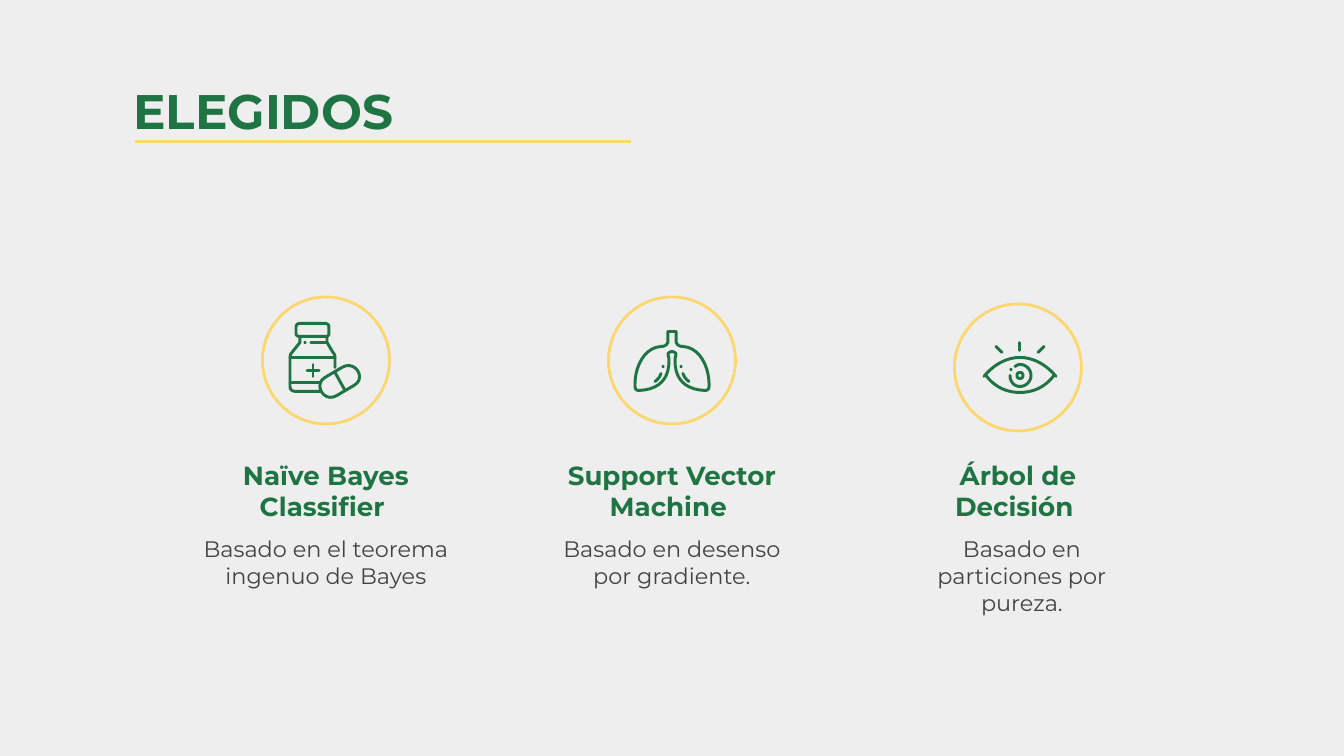
import pptx
import pptx.dml.color
import pptx.enum.shapes
import pptx.enum.text
import pptx.oxml.ns
import pptx.util
from lxml import etree

PX = 914400 / 134.4
GREEN, GOLD, GREY, PALE = "1F7444", "FBD76D", "434343", "EEEEEE"
LEFT = pptx.enum.text.PP_ALIGN.LEFT
MID = pptx.enum.text.PP_ALIGN.CENTER
OVAL = pptx.enum.shapes.MSO_SHAPE.OVAL
qn = pptx.oxml.ns.qn


def px(*vals):
    return [round(v * PX) for v in vals]


def color(code):
    return pptx.dml.color.RGBColor.from_string(code)


def outline(shape, code, width=1.5):
    shape.line.color.rgb = color(code)
    shape.line.width = pptx.util.Pt(width)


def text(slide, box, words, size, code, bold=False, align=MID):
    frame = slide.shapes.add_textbox(*px(*box)).text_frame
    frame.word_wrap = True
    frame.margin_left = frame.margin_right = pptx.util.Inches(0.1)
    frame.margin_top = frame.margin_bottom = pptx.util.Inches(0.1)
    para = frame.paragraphs[0]
    para.text = words
    para.alignment = align
    para.font.name = "Montserrat"
    para.font.size = pptx.util.Pt(size)
    para.font.bold = bold
    para.font.color.rgb = color(code)


def rule(slide, left, right, y):
    line = slide.shapes.add_connector(
        pptx.enum.shapes.MSO_CONNECTOR.STRAIGHT, *px(left, y, right, y))
    outline(line, GOLD)
    etree.SubElement(line._element.spPr, qn("a:effectLst"))


def ring(slide, mid, top, size=127):
    shape = slide.shapes.add_shape(OVAL, *px(mid - size / 2, top, size, size))
    shape.shadow.inherit = False
    shape.fill.background()
    outline(shape, GOLD)


def dot(slide, x, y, size=3):
    shape = slide.shapes.add_shape(
        OVAL, *px(x - size / 2, y - size / 2, size, size))
    shape.shadow.inherit = False
    shape.fill.solid()
    shape.fill.fore_color.rgb = color(GREEN)
    shape.line.fill.background()


def trace(path, steps=10):
    """Turn a path of points and cubic curves (six numbers) into points."""
    spots = [path[0]]
    for part in path[1:]:
        if len(part) == 2:
            spots.append(part)
            continue
        nodes = [spots[-1], part[:2], part[2:4], part[4:]]
        for step in range(1, steps + 1):
            t = step / steps
            u = 1 - t
            mix = (u ** 3, 3 * u * u * t, 3 * u * t * t, t ** 3)
            spots.append(tuple(sum(m * n[axis] for m, n in zip(mix, nodes))
                               for axis in (0, 1)))
    return spots


def flip(path, axis):
    """Give the path and its mirror image about a vertical axis."""
    return [path, [tuple(v if i % 2 else 2 * axis - v
                         for i, v in enumerate(part)) for part in path]]


def stroke(slide, paths):
    pen = None
    for path in paths:
        start, *rest = [px(x, y + 0.5) for x, y in trace(path)]
        if pen is None:
            pen = slide.shapes.build_freeform(*start, scale=1.0)
        else:
            pen.move_to(*start)
        pen.add_line_segments(rest, close=path[0] == path[-1][-2:])
    shape = pen.convert_to_shape()
    shape.shadow.inherit = False
    shape.fill.background()
    outline(shape, GREEN, 1.6)
    line = shape._element.spPr.find(qn("a:ln"))
    line.set("cap", "rnd")
    etree.SubElement(line, qn("a:round"))


BOTTLE = [
    [(300, 323), (325, 323), (328, 323, 329, 325, 329, 327), (329, 332),
     (329, 335, 328, 336, 325, 336), (300, 336),
     (297, 336, 296, 335, 296, 332), (296, 327),
     (296, 325, 297, 323, 300, 323)],
    [(300, 337), (300, 342), (292, 352), (290, 354, 290, 356, 290, 358),
     (290, 386), (290, 389, 292, 391, 296, 391), (320, 391)],
    [(327, 337), (327, 342), (333, 352), (335, 354, 335, 356, 335, 358),
     (335, 367)],
    [(290, 357), (335, 357)],
    [(290, 382), (320, 382)],
    [(311, 342), (327, 342)],
    [(337, 395), (354, 385), (367, 378, 355, 359, 342, 367), (325, 377),
     (313, 384, 324, 403, 337, 395)],
    [(335, 372), (345, 390)],
]
PLUS = [[(313, 364), (313, 376)], [(307, 370), (319, 370)]]
LUNGS = flip(
    [(672, 331), (676, 331), (676, 340), (676, 344, 679, 346, 683, 346),
     (700, 347, 709, 367, 709, 383), (709, 386),
     (709, 389, 707, 390, 705, 390), (685, 389, 675, 379, 675, 360),
     (675, 357, 676, 355, 676, 353), (675, 352, 673, 351, 672, 351)], 672)
AIRWAYS = flip([(683, 373), (684, 376, 686, 379, 689, 381)], 672)
LIDS = (flip([(984, 376), (992, 366, 1005, 357, 1020, 357)], 1020)
        + flip([(986, 375), (995, 387, 1007, 392, 1020, 392)], 1020))
PUPIL = flip([(1020, 372), (1022, 372, 1023, 373, 1023, 375),
              (1023, 377, 1022, 378, 1020, 378)], 1020)
IRIS = [[(1010, 375), (1010, 381, 1014, 386, 1020, 386),
         (1026, 386, 1031, 381, 1031, 375),
         (1031, 369, 1026, 364, 1020, 364),
         (1018, 364, 1017, 365, 1015, 366)]]
RAYS = [[(1020, 342), (1020, 350)]] + flip([(1038, 352), (1044, 346)], 1020)

# name, note, strokes, dots, ring top, name width, note shift
CARDS = [
    ("Naïve Bayes Classifier ", "Basado en el teorema ingenuo de Bayes",
     [PLUS, BOTTLE], [(305, 342)], 297, 274, 0),
    ("Support Vector Machine ", "Basado en desenso por gradiente.",
     [LUNGS] + [[way] for way in AIRWAYS], [(663, 366), (681, 366)],
     297, 274, 0),
    ("Árbol de Decisión ", "Basado en particiones por pureza.",
     [PUPIL, IRIS] + [[ray] for ray in RAYS] + [LIDS], [(1011, 369)],
     304, 262, 4),
]


def card(slide, mid, name, note, strokes, dots, top, width, shift):
    ring(slide, mid, top)
    text(slide, (mid - width / 2, 446, width, 85), name, 14, GREEN, True)
    text(slide, (mid + shift - 137, 522, 274, 117), note, 12, GREY)
    for x, y in dots:
        dot(slide, x, y + 0.5)
    for paths in strokes:
        stroke(slide, paths)


def main():
    deck = pptx.Presentation()
    deck.slide_width, deck.slide_height = px(1344, 756)
    slide = deck.slides.add_slide(deck.slide_layouts[6])
    slide.background.fill.solid()
    slide.background.fill.fore_color.rgb = color(PALE)
    text(slide, (120, 68, 1103, 85), "ELEGIDOS", 26, GREEN, True, LEFT)
    rule(slide, 135, 631, 141.5)
    for i, item in enumerate(CARDS):
        card(slide, 326 + 346 * i, *item)
    deck.save("out.pptx")


if __name__ == "__main__":
    main()
